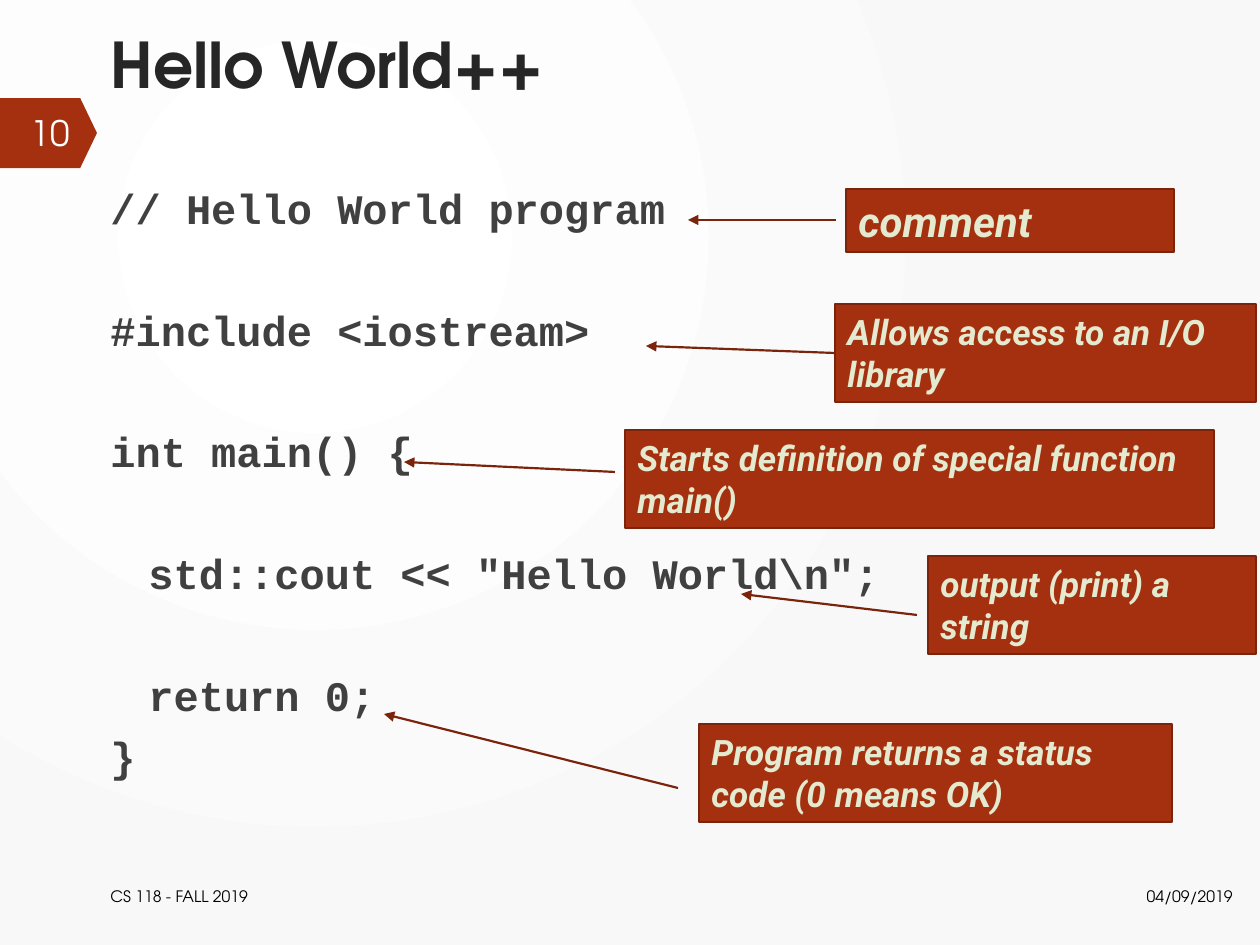
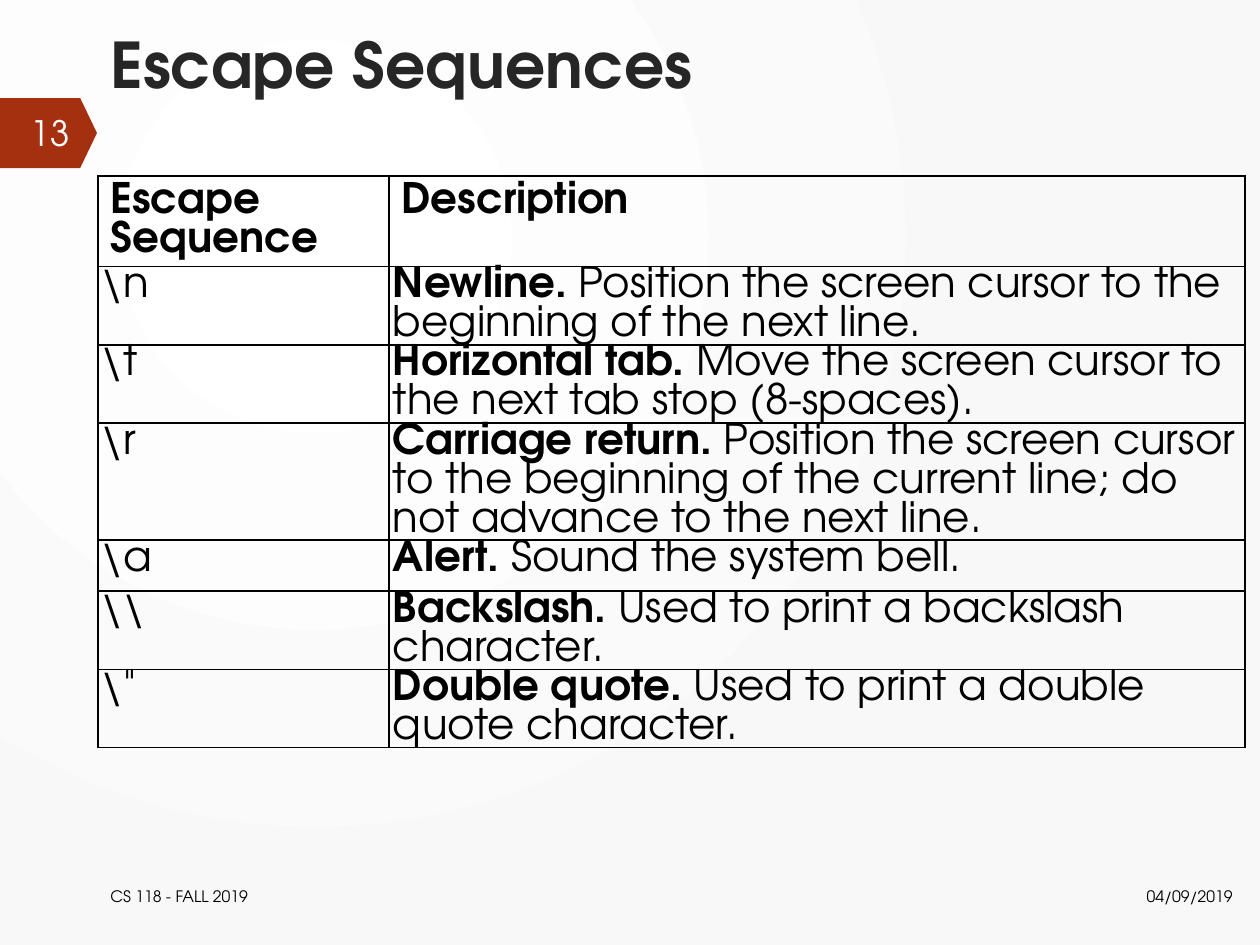
from pptx import Presentation
from pptx.dml.color import RGBColor
from pptx.enum.shapes import MSO_CONNECTOR, MSO_SHAPE
from pptx.enum.text import MSO_ANCHOR as ANCHOR, PP_ALIGN as ALIGN
from pptx.oxml import parse_xml
from pptx.oxml.ns import nsdecls, qn
from pptx.util import Pt

PX = 914400 / 126
SLIDE_SIZE = (1260, 945)

RUST = RGBColor(0xA5, 0x30, 0x10)
DARK_RUST = RGBColor(0x7A, 0x24, 0x0C)
PALE_GREEN = RGBColor(0xE3, 0xEA, 0xCF)
TITLE_GREY = RGBColor(0x26, 0x26, 0x26)
CODE_GREY = RGBColor(0x40, 0x40, 0x40)
BLACK = RGBColor(0, 0, 0)
NUMBER_WHITE = RGBColor(0xFE, 0xFF, 0xFF)
BACKGROUND = [RGBColor(0xFF, 0xFF, 0xFF), RGBColor(0xF8, 0xF8, 0xF8)]

SANS, MONO, LABEL = "TeX Gyre Adventor", "Courier New", "Roboto"

COURSE, DATE = "CS 118 - FALL 2019", "04/09/2019"
LEFT = 98

# Space before a code line, in points
NEXT_LINE, NEXT_BLOCK = 6, 40.8

# Code line, indent in px, space before
CODE = [
    ("// Hello World program", 0, 0),
    ("#include <iostream>", 0, NEXT_BLOCK),
    ("int main() {", 0, NEXT_BLOCK),
    (r'std::cout << "Hello World\n";', 38, NEXT_BLOCK),
    ("return 0;", 38, NEXT_BLOCK),
    ("}", 0, NEXT_LINE),
]

# Label, text size, box, arrow start (None: the box's left side), arrow tip
CALLOUTS = [
    ("comment", 24, (846, 189, 328, 63), (836, 220), (688, 220)),
    ("Allows access to an I/O library", 20, (835, 304, 421, 98), None, (646, 346)),
    ("Starts definition of special function main()", 20,
     (625, 430, 589, 98), (615, 472), (404, 462)),
    ("output (print) a string", 20, (928, 556, 328, 98), (917, 615), (741, 594)),
    ("Program returns a status code (0 means OK)", 20,
     (699, 724, 473, 98), (678, 788), (384, 714)),
]

HEADINGS = ("Escape Sequence", "Description")
ESCAPES = [
    (r"\n", "Newline.", " Position the screen cursor to the beginning of the next line."),
    (r"\t", "Horizontal tab.", " Move the screen cursor to the next tab stop (8-spaces)."),
    (r"\r", "Carriage return.", " Position the screen cursor to the beginning of the "
     "current line; do not advance to the next line."),
    (r"\a", "Alert. ", "Sound the system bell."),
    (r"\\", "Backslash.", " Used to print a backslash character."),
    (r"\"", "Double quote.", " Used to print a double quote character."),
]
COLUMN_WIDTHS = (291, 856)
ROW_HEIGHT = 51
TABLE_LINE_PITCH = 22.3


def px(*values):
    return [round(value * PX) for value in values]


def add_run(paragraph, text, size, color, font=SANS, bold=False, italic=False):
    run = paragraph.add_run()
    run.text = text
    run.font.name, run.font.size = font, Pt(size)
    run.font.bold, run.font.italic = bold, italic
    run.font.color.rgb = color


def add_text(slide, box, text, size, color, align=ALIGN.LEFT, anchor=ANCHOR.MIDDLE, bold=False):
    frame = slide.shapes.add_textbox(*px(*box)).text_frame
    frame.word_wrap = True
    frame.vertical_anchor = anchor
    frame.paragraphs[0].alignment = align
    add_run(frame.paragraphs[0], text, size, color, bold=bold)


def set_background(master):
    """Give every slide the circular gradient centred in its upper left."""
    fill = master.background.fill
    fill.gradient()
    for stop, color, position in zip(fill.gradient_stops, BACKGROUND, (0, 1)):
        stop.color.rgb = color
        stop.position = position
    direction = next(master.element.iter(qn("a:lin")))
    direction.getparent().replace(direction, parse_xml(
        f'<a:path {nsdecls("a")} path="circle">'
        '<a:fillToRect l="50000" t="50000" r="100000" b="100000"/></a:path>'))


def add_slide(presentation, title, number):
    slide = presentation.slides.add_slide(presentation.slide_layouts[6])
    band = slide.shapes.add_shape(MSO_SHAPE.PENTAGON, *px(0, 98, 97, 70))
    band.adjustments[0] = 0.24
    band.shadow.inherit = False
    band.fill.solid()
    band.fill.fore_color.rgb = RUST
    band.line.fill.background()
    add_text(slide, (LEFT, 19, 1147, 112), title, 36, TITLE_GREY, anchor=ANCHOR.TOP, bold=True)
    add_text(slide, (1, 108, 81, 50), str(number), 20, NUMBER_WHITE, ALIGN.RIGHT)
    add_text(slide, (LEFT, 871, 858, 50), COURSE, 9, BLACK)
    add_text(slide, (1060, 871, 185, 50), DATE, 9, BLACK, ALIGN.RIGHT)
    return slide


def add_code(slide):
    frame = slide.shapes.add_textbox(*px(LEFT, 176, 1147, 687)).text_frame
    frame.word_wrap = True
    for index, (line, indent, space) in enumerate(CODE):
        paragraph = frame.add_paragraph() if index else frame.paragraphs[0]
        if indent:
            paragraph._p.get_or_add_pPr().set("marL", str(px(indent)[0]))
        if space:
            paragraph.space_before = Pt(space)
        add_run(paragraph, line, 24, CODE_GREY, MONO, bold=True)


def add_callout(slide, label, size, box, start, tip):
    shape = slide.shapes.add_shape(MSO_SHAPE.RECTANGLE, *px(*box))
    shape.shadow.inherit = False
    shape.fill.solid()
    shape.fill.fore_color.rgb = RUST
    shape.line.color.rgb = DARK_RUST
    shape.line.width = Pt(1.25)
    frame = shape.text_frame
    frame.word_wrap = True
    frame.vertical_anchor = ANCHOR.TOP
    frame.paragraphs[0].alignment = ALIGN.LEFT
    add_run(frame.paragraphs[0], label, size, PALE_GREEN, LABEL, bold=True, italic=True)

    arrow = slide.shapes.add_connector(MSO_CONNECTOR.STRAIGHT, *px(*(start or box[:2]), *tip))
    if start is None:
        arrow.begin_connect(shape, 1)
    arrow.line.color.rgb = DARK_RUST
    arrow.line.width = Pt(1.25)
    properties = arrow.element.spPr
    properties.find(qn("a:ln")).append(parse_xml(f'<a:tailEnd {nsdecls("a")} type="triangle"/>'))
    properties.append(parse_xml(f'<a:effectLst {nsdecls("a")}/>'))


def style_cell(cell):
    properties = cell._tc.get_or_add_tcPr()
    for side in "LRTB":
        properties.append(parse_xml(
            f'<a:ln{side} {nsdecls("a")} w="12700"><a:solidFill>'
            f'<a:srgbClr val="{BLACK}"/></a:solidFill></a:ln{side}>'))
    cell.fill.background()


def add_escape_table(slide):
    rows = [[[(heading, True)] for heading in HEADINGS]]
    rows += [[[(code, False)], [(name, True), (meaning, False)]] for code, name, meaning in ESCAPES]
    table = slide.shapes.add_table(
        len(rows), len(HEADINGS),
        *px(LEFT, 176, sum(COLUMN_WIDTHS), ROW_HEIGHT * len(rows))).table
    table.first_row = table.horz_banding = False
    for column, width in zip(table.columns, px(*COLUMN_WIDTHS)):
        column.width = width
    for row_index, row in enumerate(rows):
        for column_index, runs in enumerate(row):
            cell = table.cell(row_index, column_index)
            style_cell(cell)
            if row_index:
                cell.margin_left = px(4)[0]
                cell.margin_right = cell.margin_top = cell.margin_bottom = 0
            paragraph = cell.text_frame.paragraphs[0]
            paragraph.line_spacing = Pt(TABLE_LINE_PITCH)
            for text, bold in runs:
                add_run(paragraph, text, 24, BLACK, bold=bold)


def main():
    presentation = Presentation()
    presentation.slide_width, presentation.slide_height = px(*SLIDE_SIZE)
    set_background(presentation.slide_master)

    hello = add_slide(presentation, "Hello World++", 10)
    add_code(hello)
    for callout in CALLOUTS:
        add_callout(hello, *callout)

    add_escape_table(add_slide(presentation, "Escape Sequences", 13))
    presentation.save("out.pptx")


if __name__ == "__main__":
    main()
